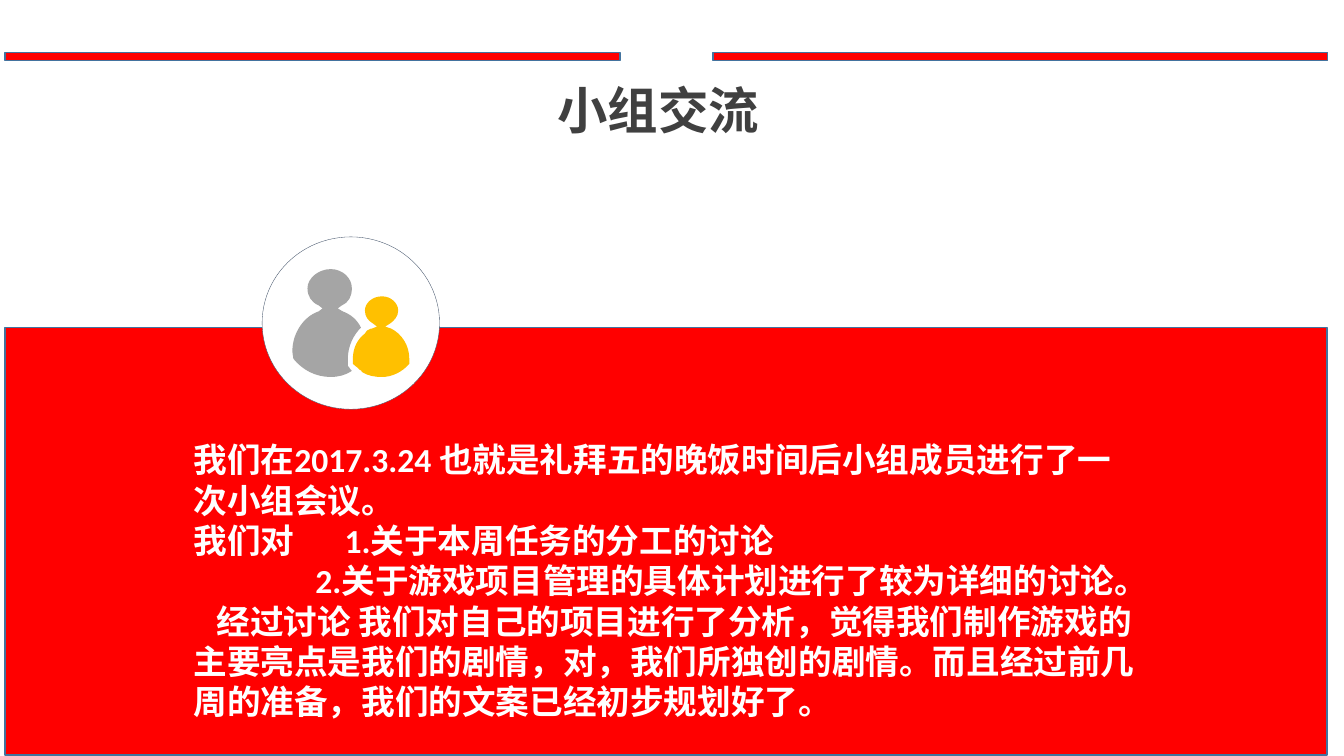
import pptx
import pptx.util
import pptx.dml.color
import pptx.enum.shapes
import pptx.enum.text
import lxml.etree

RGBColor = pptx.dml.color.RGBColor
RED = RGBColor(0xFF, 0x00, 0x00)
EDGE = RGBColor(0x43, 0x73, 0x9E)
WHITE = RGBColor(0xFF, 0xFF, 0xFF)
SLATE = RGBColor(0x44, 0x54, 0x6A)
GRAY = RGBColor(0xA5, 0xA5, 0xA5)
GOLD = RGBColor(0xFF, 0xC0, 0x00)
DARK = RGBColor(0x40, 0x40, 0x40)
FONT = "Calibri"
PX = 9144

TITLE = "小组交流"
PARAGRAPHS = [
    ("我们在2017.3.24 也就是礼拜五的晚饭时间后小组成员进行了一 次小组会议。", 0),
    ("我们对\t1.关于本周任务的分工的讨论", 0),
    ("2.关于游戏项目管理的具体计划进行了较为详细的讨论。", 121),
    ("经过讨论 我们对自己的项目进行了分析，觉得我们制作游戏的主要亮点是我们的剧情，"
     "对，我们所独创的剧情。而且经过前几周的准备，我们的文案已经初步规划好了。", 23),
]
TAB_STOP = 116
BANDS = [(5, 52, 610, 8), (707, 52, 610, 8), (5, 325, 1311, 424)]
BADGE = (260, 235, 176, 171)
TITLE_BOX = (543, 73, 415, 70)
BODY_BOX = (182, 431, 958, 290)
PEOPLE = [
    (GRAY, [
        (346, 364), (345, 363), (345, 361, 345, 358, 345, 356),
        (345, 343, 351, 332, 358, 325), (354, 317, 348, 312, 340, 309),
        (335, 306), (339, 303), (346, 300, 349, 294, 349, 286),
        (349, 276, 340, 267, 328, 267), (316, 267, 305, 276, 305, 286),
        (305, 294, 309, 300, 316, 303), (320, 306), (316, 309),
        (301, 314, 290, 331, 290, 348), (290, 352, 291, 354, 291, 356),
        (300, 367, 313, 374, 328, 374), (336, 374, 343, 372, 349, 368),
        (348, 367, 347, 366, 346, 364)]),
    (GOLD, [
        (388, 326), (382, 324), (387, 321), (391, 318, 395, 314, 395, 308),
        (395, 301, 388, 294, 379, 294), (369, 294, 362, 301, 362, 308),
        (362, 314, 365, 318, 370, 321), (374, 324), (369, 326),
        (369, 326, 367, 326, 366, 327), (365, 327, 365, 328, 364, 328),
        (363, 330, 362, 330, 362, 331), (355, 336, 350, 345, 350, 356),
        (350, 357, 350, 359, 350, 361), (352, 363, 354, 364, 355, 365),
        (356, 366, 356, 366, 357, 367), (358, 367, 359, 368, 359, 369),
        (365, 373, 372, 374, 379, 374), (389, 374, 399, 369, 406, 361),
        (406, 359, 406, 357, 406, 356), (406, 342, 398, 331, 388, 326)]),
]


def emu(box):
    return [v * PX for v in box]


def paint(shape, fill, line=None, width=1):
    shape.shadow.inherit = False
    shape.fill.solid()
    shape.fill.fore_color.rgb = fill
    if line is None:
        shape.line.fill.background()
    else:
        shape.line.color.rgb = line
        shape.line.width = pptx.util.Pt(width)


def add_outline(shapes, outline):
    ends = [part[-2:] for part in outline]
    builder = shapes.build_freeform(*ends[0], scale=PX)
    builder.add_line_segments(ends[1:], close=False)
    shape = builder.convert_to_shape()
    left = min(x for x, y in ends)
    top = min(y for x, y in ends)
    qn = pptx.oxml.ns.qn
    lines = list(shape._element.iter(qn("a:lnTo")))
    for line, part in zip(lines, outline[1:]):
        if len(part) == 6:
            curve = lxml.etree.Element(qn("a:cubicBezTo"))
            for x, y in zip(part[::2], part[1::2]):
                pt = lxml.etree.SubElement(curve, qn("a:pt"))
                pt.set("x", str(x - left))
                pt.set("y", str(y - top))
            line.getparent().replace(line, curve)
    outline_path = next(shape._element.iter(qn("a:moveTo"))).getparent()
    lxml.etree.SubElement(outline_path, qn("a:close"))
    return shape


def style(p, size, color):
    p.alignment = pptx.enum.text.PP_ALIGN.LEFT
    p.line_spacing = 1.0
    for r in p.runs:
        r.font.name = FONT
        r.font.size = pptx.util.Pt(size)
        r.font.bold = True
        r.font.color.rgb = color
        ea = lxml.etree.SubElement(r.font._element, pptx.oxml.ns.qn("a:ea"))
        ea.set("typeface", FONT)


def set_frame(tf):
    tf.word_wrap = True
    tf.auto_size = pptx.enum.text.MSO_AUTO_SIZE.SHAPE_TO_FIT_TEXT
    tf.vertical_anchor = pptx.enum.text.MSO_ANCHOR.TOP


def main():
    prs = pptx.Presentation()
    prs.slide_width, prs.slide_height = emu((1333, 750))
    s = prs.slides.add_slide(prs.slide_layouts[5])
    kinds = pptx.enum.shapes.MSO_SHAPE

    for box in BANDS:
        paint(s.shapes.add_shape(kinds.RECTANGLE, *emu(box)), RED, EDGE)

    group = s.shapes.add_group_shape()
    badge = group.shapes.add_shape(kinds.OVAL, *emu(BADGE))
    paint(badge, WHITE, SLATE, 0.25)
    for color, outline in PEOPLE:
        paint(add_outline(group.shapes, outline), color)

    title = s.shapes.title
    title.left, title.top, title.width, title.height = emu(TITLE_BOX)
    title.text_frame.text = TITLE
    set_frame(title.text_frame)
    style(title.text_frame.paragraphs[0], 36, DARK)

    body = s.shapes.add_shape(kinds.RECTANGLE, *emu(BODY_BOX))
    paint(body, RED)
    tf = body.text_frame
    tf.text = "\n".join(text for text, indent in PARAGRAPHS)
    set_frame(tf)
    for p, (text, indent) in zip(tf.paragraphs, PARAGRAPHS):
        style(p, 24, WHITE)
        pPr = p._p.get_or_add_pPr()
        pPr.set("indent", str(indent * PX))
        if "\t" in text:
            tabs = lxml.etree.SubElement(pPr, pptx.oxml.ns.qn("a:tabLst"))
            tab = lxml.etree.SubElement(tabs, pptx.oxml.ns.qn("a:tab"))
            tab.set("pos", str(TAB_STOP * PX))
            tab.set("algn", "l")

    prs.save("out.pptx")


if __name__ == "__main__":
    main()
